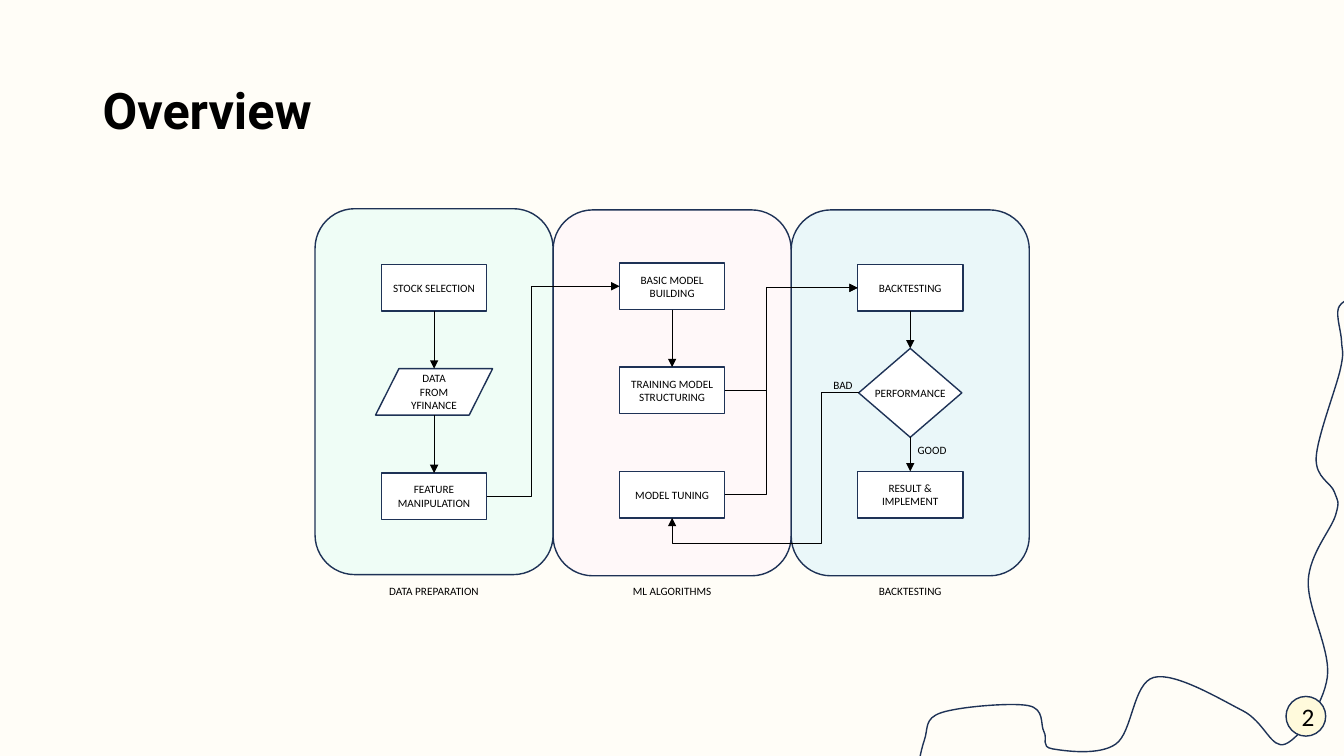
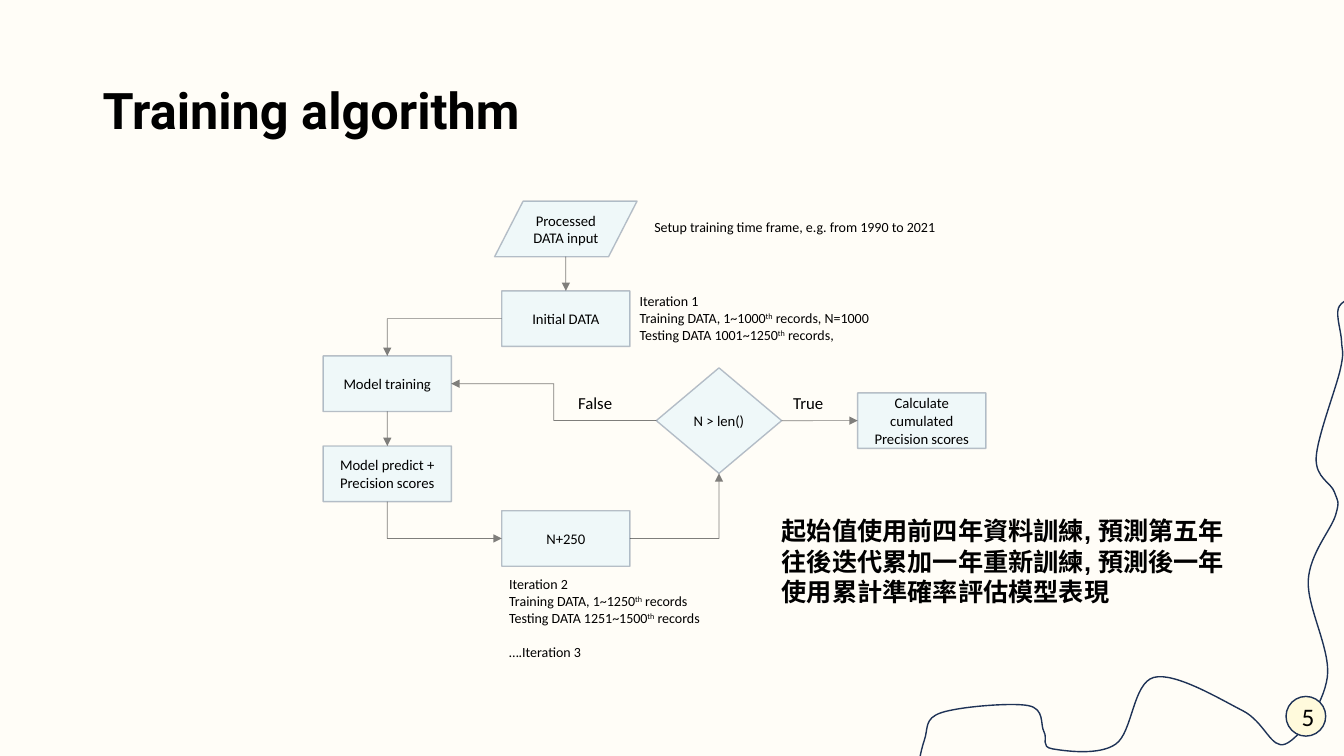
from dataclasses import dataclass

from pptx import Presentation
from pptx.dml.color import RGBColor
from pptx.dml.fill import FillFormat
from pptx.enum.shapes import MSO_CONNECTOR, MSO_SHAPE
from pptx.enum.text import MSO_ANCHOR, PP_ALIGN
from pptx.oxml.ns import qn
from pptx.oxml.xmlchemy import OxmlElement
from pptx.shapes.autoshape import Shape
from pptx.slide import Slide
from pptx.text.text import TextFrame
from pptx.util import Cm, Pt

PROCESS = MSO_SHAPE.FLOWCHART_PROCESS
DATA = MSO_SHAPE.FLOWCHART_DATA
DECISION = MSO_SHAPE.FLOWCHART_DECISION
PANEL = MSO_SHAPE.FLOWCHART_ALTERNATE_PROCESS
OVAL = MSO_SHAPE.OVAL
STRAIGHT = MSO_CONNECTOR.STRAIGHT
ELBOW = MSO_CONNECTOR.ELBOW
LEFT = PP_ALIGN.LEFT
CENTER = PP_ALIGN.CENTER
MIDDLE = MSO_ANCHOR.MIDDLE

TOP_SIDE, LEFT_SIDE, BOTTOM_SIDE, RIGHT_SIDE = range(4)

CREAM = "FFFADC"
NAVY = "1E3256"
BLACK = "000000"
WHITE = "FFFFFF"
MINT = "DFFFF5"
PINK = "FFF0FF"
SKY = "C1EBFF"

CURVE = [
    (23.04, 19.89), (23.29, 18.67), (23.72, 17.96), (25.91, 17.78), (26.31, 18.44),
    (26.52, 18.87), (28.12, 18.75), (29.08, 17.07), (31.32, 17.91), (32.39, 18.75),
    (33.45, 17.07), (32.97, 14.63), (33.66, 12.98), (33.63, 12.4), (33.17, 11.53),
    (33.78, 9.3), (33.81, 8.61), (33.73, 7.77), (34.19, 7.44), (34.44, 7.29),
]


@dataclass(frozen=True)
class Look:
    fill: str
    fill_opacity: int = 100
    line_opacity: int = 100
    wire_opacity: int = 100
    size: float = 8


@dataclass(frozen=True)
class Node:
    name: str
    text: str
    center: float
    top: float
    width: float
    height: float
    kind: MSO_SHAPE = PROCESS


@dataclass(frozen=True)
class Wire:
    source: str
    source_side: int
    target: str
    target_side: int
    preset: str = "line"
    bends: tuple[float, ...] = ()
    backward: bool = False


@dataclass(frozen=True)
class Label:
    text: str
    left: float
    top: float
    width: float
    height: float
    size: float
    alignment: PP_ALIGN = LEFT
    font: str = "Calibri"
    bold: bool = False
    last_gap: float = 0


def paint(fill: FillFormat, color: str, opacity: int = 100) -> None:
    fill.solid()
    fill.fore_color.rgb = RGBColor.from_string(color)
    if opacity < 100:
        alpha = OxmlElement("a:alpha")
        alpha.set("val", str(opacity * 1000))
        fill._xPr.find(qn("a:solidFill"))[0].append(alpha)


def write(frame: TextFrame, text: str, size: float, alignment: PP_ALIGN,
          font: str = "Calibri", bold: bool = False) -> None:
    frame.text = text
    for para in frame.paragraphs:
        para.alignment = alignment
        start, *pieces = para.text.split("^")
        para.text = start
        for index, piece in enumerate(pieces):
            span = para.add_run()
            span.text = piece
            if index % 2 == 0:
                span.font._element.set("baseline", "30000")
        for span in para.runs:
            span.font.name = font
            span.font.size = Pt(size)
            span.font.bold = bold
            paint(span.font.fill, BLACK)


def draw_node(page: Slide, node: Node, look: Look) -> Shape:
    box = page.shapes.add_shape(node.kind, Cm(node.center - node.width / 2), Cm(node.top),
                                Cm(node.width), Cm(node.height))
    box.shadow.inherit = False
    paint(box.fill, look.fill, look.fill_opacity)
    paint(box.line.fill, NAVY, look.line_opacity)
    box.line.width = Pt(1)
    if node.text:
        box.text_frame.word_wrap = node.kind != DECISION
        write(box.text_frame, node.text, look.size, CENTER)
    return box


def draw_label(page: Slide, label: Label) -> None:
    box = page.shapes.add_textbox(Cm(label.left), Cm(label.top), Cm(label.width), Cm(label.height))
    box.text_frame.word_wrap = True
    write(box.text_frame, label.text, label.size, label.alignment, label.font, label.bold)
    if label.last_gap:
        box.text_frame.paragraphs[-1].space_before = Pt(label.last_gap)


def side_point(box: Shape, side: int) -> tuple[int, int]:
    across = {LEFT_SIDE: 0, RIGHT_SIDE: box.width}.get(side, box.width // 2)
    down = {TOP_SIDE: 0, BOTTOM_SIDE: box.height}.get(side, box.height // 2)
    return box.left + across, box.top + down


def draw_wire(page: Slide, wire: Wire, boxes: dict[str, Shape], look: Look) -> None:
    source, target = boxes[wire.source], boxes[wire.target]
    straight = wire.preset == "line"
    connector = page.shapes.add_connector(STRAIGHT if straight else ELBOW,
                                          *side_point(source, wire.source_side),
                                          *side_point(target, wire.target_side))
    if straight:
        if source.auto_shape_type != DATA:
            connector.begin_connect(source, wire.source_side)
        if target.auto_shape_type != DATA:
            connector.end_connect(target, wire.target_side)
    properties = connector._element.spPr
    geometry = properties.find(qn("a:prstGeom"))
    geometry.set("prst", wire.preset)
    for number, bend in enumerate(wire.bends, 1):
        guide = OxmlElement("a:gd")
        guide.set("name", f"adj{number}")
        guide.set("fmla", f"val {round(bend * 1000)}")
        geometry.find(qn("a:avLst")).append(guide)
    paint(connector.line.fill, BLACK, look.wire_opacity)
    connector.line.width = Pt(0.5)
    arrow = OxmlElement("a:headEnd" if wire.backward else "a:tailEnd")
    arrow.set("type", "triangle")
    properties.find(qn("a:ln")).append(arrow)
    properties.append(OxmlElement("a:effectLst"))


def draw_chart(page: Slide, nodes: list[Node], wires: list[Wire], labels: list[Label],
               look: Look) -> None:
    boxes = {node.name: draw_node(page, node, look) for node in nodes}
    for wire in wires:
        draw_wire(page, wire, boxes, look)
    for label in labels:
        draw_label(page, label)


def draw_trail(page: Slide) -> None:
    start, *rest = [(Cm(x), Cm(y)) for x, y in CURVE]
    builder = page.shapes.build_freeform(*start)
    builder.add_line_segments(rest, close=False)
    trail = builder.convert_to_shape()
    trail.shadow.inherit = False
    trail.fill.background()
    paint(trail.line.fill, NAVY)
    trail.line.width = Pt(1)
    smooth(trail)


def smooth(trail: Shape) -> None:
    spots = [(int(spot.get("x")), int(spot.get("y"))) for spot in trail._element.iter(qn("a:pt"))]
    padded = [spots[0], *spots, spots[-1]]
    segments = list(trail._element.iter(qn("a:lnTo")))
    for segment, before, start, end, after in zip(segments, padded, padded[1:], padded[2:], padded[3:]):
        leaving = [s + (e - b) / 6 for b, s, e in zip(before, start, end)]
        arriving = [e - (a - s) / 6 for s, e, a in zip(start, end, after)]
        bezier = OxmlElement("a:cubicBezTo")
        for x, y in (leaving, arriving, end):
            spot = OxmlElement("a:pt")
            spot.set("x", str(round(x)))
            spot.set("y", str(round(y)))
            bezier.append(spot)
        segment.getparent().replace(segment, bezier)


def add_page(deck: Presentation, title: str, number: str) -> Slide:
    page = deck.slides.add_slide(deck.slide_layouts[5])
    paint(page.background.fill, CREAM, 22)
    heading = page.shapes.title
    heading.left, heading.top, heading.width, heading.height = Cm(2.33), Cm(1.01), Cm(29.21), Cm(3.68)
    heading.text_frame.vertical_anchor = MIDDLE
    write(heading.text_frame, title, 36, LEFT, "Roboto", True)
    heading.text_frame.paragraphs[0].line_spacing = 0.9
    draw_trail(page)
    draw_node(page, Node("badge", number, 32.91, 17.55, 1, 1, OVAL), Look(CREAM, size=18))
    return page


def overview(deck: Presentation) -> None:
    page = add_page(deck, "Overview", "2")
    first, second, third = (10.94 + 6 * column for column in range(3))
    panels = [
        (second, 5.29, "ML ALGORITHMS", Look(PINK, 33)),
        (third, 5.29, "BACKTESTING", Look(SKY, 33)),
        (first, 5.26, "DATA PREPARATION", Look(MINT, 49)),
    ]
    labels = [
        Label("GOOD", 22.17, 11.05, 2.64, 0.61, 8, CENTER),
        Label("BAD", 20.57, 9.4, 1.35, 0.61, 8, CENTER),
    ]
    for center, top, caption, look in panels:
        draw_node(page, Node(caption, "", center, top, 6, 9.22, PANEL), look)
        labels.append(Label(caption, center - 1.9, 14.6, 3.8, 0.61, 8, CENTER))
    size = (2.65, 1.17)
    nodes = [
        Node("stock", "STOCK SELECTION", first, 6.67, *size),
        Node("data", "DATA FROM YFINANCE", first, 9.29, 2.95, 1.17, DATA),
        Node("feature", "FEATURE\nMANIPULATION", first, 11.92, *size),
        Node("basic", "BASIC MODEL\nBUILDING", second, 6.63, *size),
        Node("training", "TRAINING MODEL STRUCTURING", second, 9.25, *size),
        Node("tuning", "MODEL TUNING", second, 11.88, *size),
        Node("backtest", "BACKTESTING", third, 6.67, *size),
        Node("performance", "PERFORMANCE", third, 8.78, 2.6, 2.24, DECISION),
        Node("result", "RESULT & IMPLEMENT", third, 11.88, *size),
    ]
    chains = [("stock", "data"), ("data", "feature"), ("basic", "training"),
              ("backtest", "performance"), ("performance", "result")]
    wires = [Wire(source, BOTTOM_SIDE, target, TOP_SIDE) for source, target in chains]
    turns = [("feature", "basic", 33.4), ("training", "backtest", 31.3), ("tuning", "backtest", 31.3)]
    wires += [Wire(source, RIGHT_SIDE, target, LEFT_SIDE, "bentConnector3", (bend,))
              for source, target, bend in turns]
    wires.append(Wire("performance", LEFT_SIDE, "tuning", BOTTOM_SIDE, "bentConnector4", (19.8, 120.3)))
    draw_chart(page, nodes, wires, labels, Look(WHITE))


def training_algorithm(deck: Presentation) -> None:
    page = add_page(deck, "Training algorithm", "5")
    left, middle = 9.76, 14.26
    size = (3.23, 1.4)
    nodes = [
        Node("input", "Processed DATA input", middle, 5.07, 3.59, 1.4, DATA),
        Node("initial", "Initial DATA", middle, 7.33, *size),
        Node("training", "Model training", left, 8.97, *size),
        Node("predict", "Model predict +\nPrecision scores", left, 11.24, *size),
        Node("advance", "N+250", middle, 12.87, *size),
        Node("check", "N > len()", 18.12, 9.27, 3.16, 2.66, DECISION),
        Node("scores", "Calculate cumulated\nPrecision scores", 23.23, 9.9, *size),
    ]
    wires = [
        Wire("input", BOTTOM_SIDE, "initial", TOP_SIDE),
        Wire("training", BOTTOM_SIDE, "predict", TOP_SIDE),
        Wire("check", RIGHT_SIDE, "scores", LEFT_SIDE),
        Wire("initial", LEFT_SIDE, "training", TOP_SIDE, "bentConnector2"),
        Wire("advance", LEFT_SIDE, "predict", BOTTOM_SIDE, "bentConnector2", backward=True),
        Wire("advance", RIGHT_SIDE, "check", BOTTOM_SIDE, "bentConnector2"),
        Wire("check", LEFT_SIDE, "training", RIGHT_SIDE, "bentConnector3", (50,)),
    ]
    labels = [
        Label("Setup training time frame, e.g. from 1990 to 2021", 16.24, 5.38, 9.47, 0.69, 10),
        Label("Iteration 1\nTraining DATA, 1~1000^th^ records, N=1000\n"
              "Testing DATA 1001~1250^th^ records,", 15.87, 7.25, 6.91, 1.55, 10),
        Label("Iteration 2\nTraining DATA, 1~1250^th^ records\n"
              "Testing DATA 1251~1500^th^ records\n….Iteration 3",
              12.58, 14.39, 6.96, 2.39, 10, last_gap=12),
        Label("False", 14.32, 9.76, 1.65, 0.76, 12),
        Label("True", 19.74, 9.76, 1.65, 0.76, 12),
        Label("起始值使用前四年資料訓練, 預測第五年\n往後迭代累加一年重新訓練, 預測後一年\n"
              "使用累計準確率評估模型表現", 19.45, 12.87, 13.2, 2.57, 18, font="Arial", bold=True),
    ]
    draw_chart(page, nodes, wires, labels, Look(SKY, 25, 30, 50, 10.5))


def main() -> None:
    deck = Presentation()
    deck.slide_width, deck.slide_height = Cm(33.87), Cm(19.05)
    overview(deck)
    training_algorithm(deck)
    deck.save("out.pptx")


if __name__ == "__main__":
    main()
